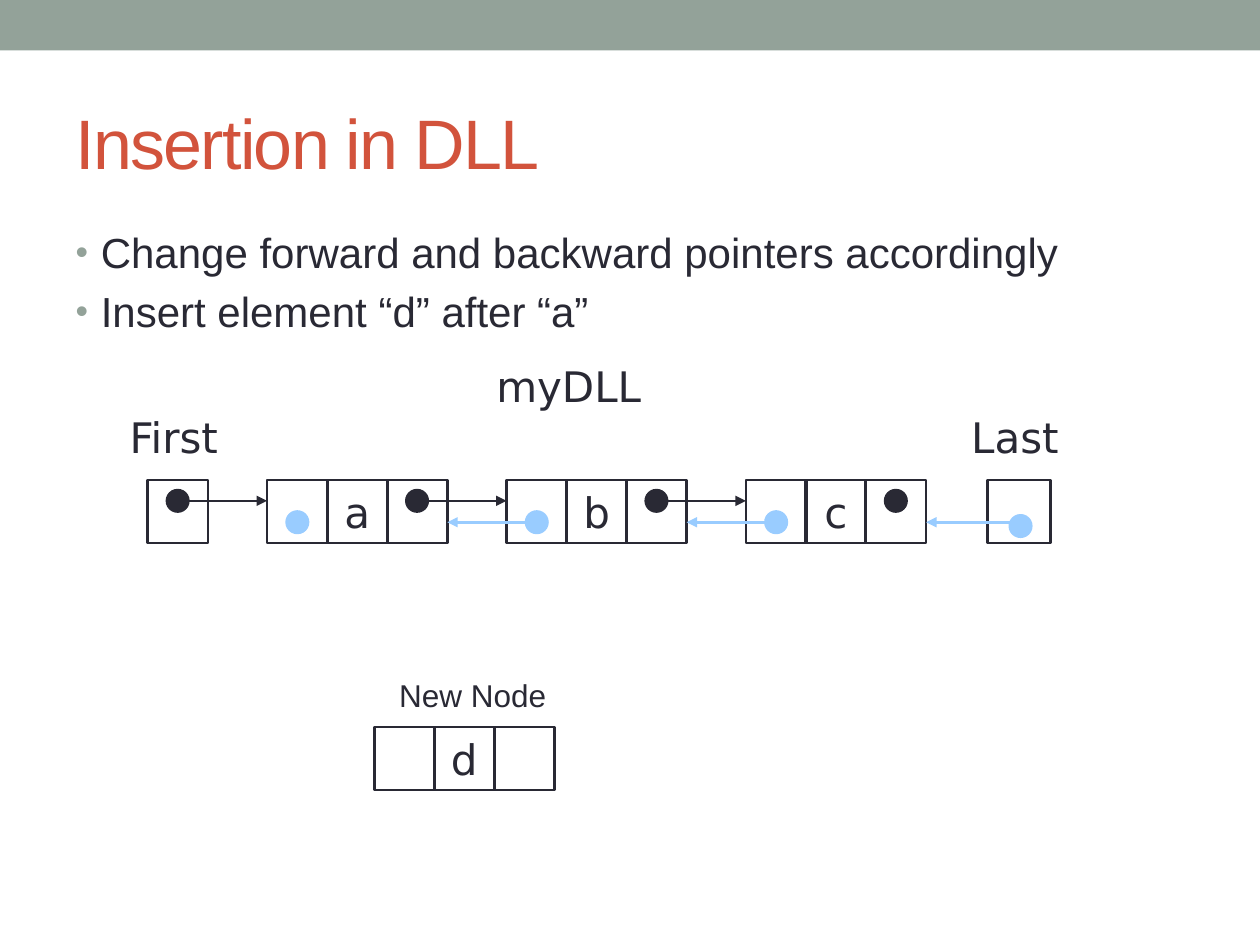
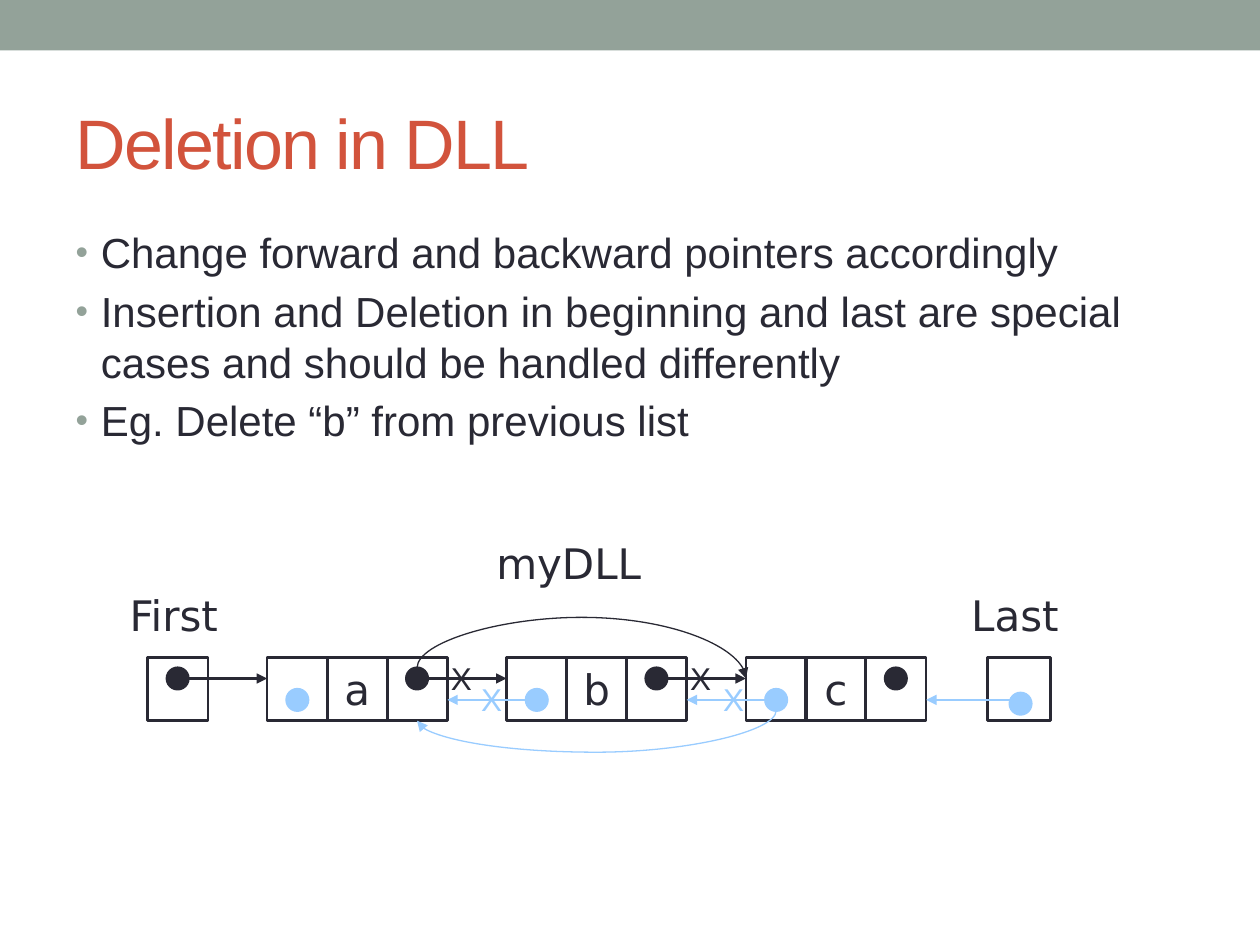
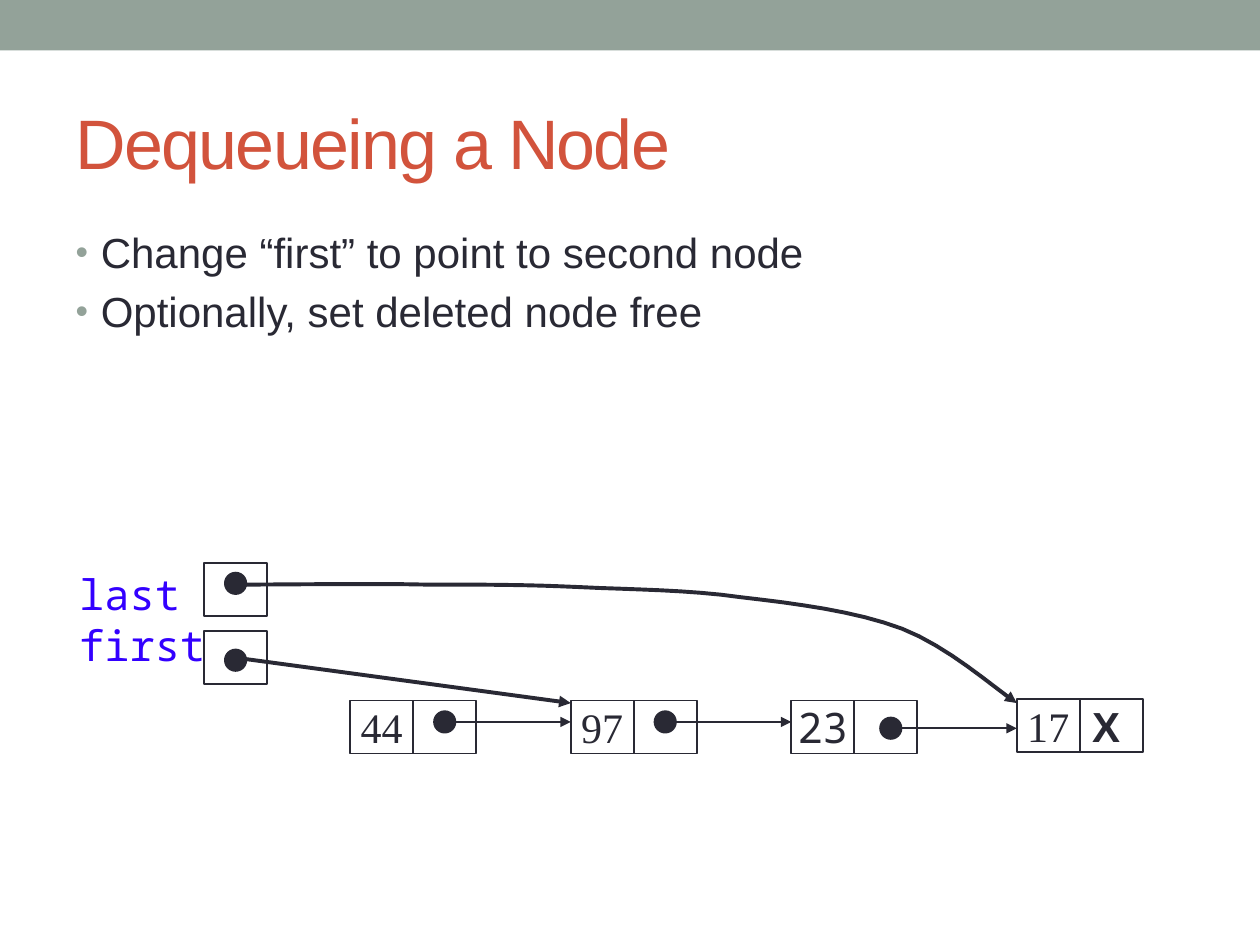
from dataclasses import dataclass

from lxml import etree
from pptx import Presentation
from pptx.dml.color import RGBColor
from pptx.enum.shapes import MSO_CONNECTOR, MSO_SHAPE
from pptx.enum.text import MSO_ANCHOR, PP_ALIGN
from pptx.oxml.ns import qn
from pptx.util import Inches, Pt

RECT, OVAL = MSO_SHAPE.RECTANGLE, MSO_SHAPE.OVAL
STRAIGHT, CURVE = MSO_CONNECTOR.STRAIGHT, MSO_CONNECTOR.CURVE
LEFT, CENTER = PP_ALIGN.LEFT, PP_ALIGN.CENTER
TOP, MIDDLE = MSO_ANCHOR.TOP, MSO_ANCHOR.MIDDLE


@dataclass(frozen=True)
class Theme:
    band: str = "93A299"
    title: str = "D2533C"
    ink: str = "292934"
    back: str = "99CCFF"
    pointer: str = "3300FF"
    sans: str = "Arial"
    label: str = "DejaVu Sans"
    mono: str = "Noto Sans Mono"
    serif: str = "Times New Roman"
    title_size: int = 40
    text_size: int = 24
    small_size: int = 18
    thin: float = 0.75
    fine: float = 1
    medium: float = 1.5
    thick: float = 2.25


T = Theme()

# Content
INSERTION = ("Insertion in DLL", [
    "Change forward and backward pointers accordingly",
    "Insert element “d” after “a”",
])
DELETION = ("Deletion in DLL", [
    "Change forward and backward pointers accordingly",
    "Insertion and Deletion in beginning and last are special cases "
    "and should be handled differently",
    "Eg. Delete “b” from previous list",
])
DEQUEUE = ("Dequeueing a Node", [
    "Change “first” to point to second node",
    "Optionally, set deleted node free",
])
LIST_NODES = ["a", "b", "c"]
# label, left, offset from the top of the chain
CHAIN_LABELS = [("myDLL", 3.84, -1.0), ("First", 0.93, -0.59), ("Last", 7.61, -0.59)]
# left, offset from the top of the chain, colour
CROSSES = [(3.48, -0.04, T.ink), (5.38, -0.04, T.ink),
           (3.72, 0.13, T.back), (5.64, 0.13, T.back)]
# left, top, value, font, pointer centre
QUEUE = [
    (2.78, 5.56, "44", T.serif, (3.53, 5.73)),
    (4.53, 5.56, "97", T.serif, (5.28, 5.73)),
    (6.28, 5.56, "23", T.mono, (7.07, 5.78)),
    (8.07, 5.55, "17", T.serif, None),
]
# top of the box, centre of the dot
QUEUE_POINTERS = [(4.47, (1.87, 4.63)), (5.01, (1.87, 5.24))]
LAST_START = (1.87, 4.64)
LAST_CURVE = [
    ((2.31, 4.64), (2.93, 4.63), (3.39, 4.64)),
    ((3.84, 4.64), (4.19, 4.64), (4.6, 4.66)),
    ((5.02, 4.68), (5.46, 4.68), (5.88, 4.74)),
    ((6.31, 4.79), (6.79, 4.85), (7.16, 4.99)),
    ((7.52, 5.13), (7.88, 5.45), (8.07, 5.58)),
]

# Chain geometry
CELL_W, CELL_H, CELL_STEP = 0.48, 0.5, 0.475
NODE_LEFT, NODE_STEP = 2.12, 1.9
NODE_W = 2 * CELL_STEP + CELL_W
NEXT_Y, PREV_Y = 0.165, 0.335
FIRST_LEFT, LAST_LEFT = 1.17, 7.84
DOT = 0.17


def rgb(colour):
    return RGBColor.from_string(colour)


def inches(*values):
    return [Inches(v) for v in values]


# Text
def add_run(p, text, size, colour, font, bold=None):
    r = p.add_run()
    r.text = text
    r.font.size, r.font.name, r.font.bold = Pt(size), font, bold
    r.font.color.rgb = rgb(colour)
    return r


def add_label(slide, text, left, top, width, height, size=T.text_size,
              colour=T.ink, font=T.label, wrap=True):
    tf = slide.shapes.add_textbox(*inches(left, top, width, height)).text_frame
    tf.word_wrap = wrap
    p = tf.paragraphs[0]
    for i, line in enumerate(text.split("\n")):
        if i:
            p.add_line_break()
        add_run(p, line, size, colour, font)
    return p


# Shapes and lines
def style_line(shape, colour, width, arrow=False):
    shape.line.color.rgb = rgb(colour)
    shape.line.width = Pt(width)
    if arrow:
        ln = shape.element.spPr.find(qn("a:ln"))
        etree.SubElement(ln, qn("a:tailEnd"), type="triangle")


def add_box(slide, left, top, width, height, line=T.medium, text="",
            font=T.label, bold=None, align=CENTER):
    s = slide.shapes.add_shape(RECT, *inches(left, top, width, height))
    s.shadow.inherit = False
    s.fill.background()
    style_line(s, T.ink, line)
    if text:
        tf = s.text_frame
        tf.word_wrap, tf.vertical_anchor = False, MIDDLE
        p = tf.paragraphs[0]
        p.alignment = align
        add_run(p, text, T.text_size, T.ink, font, bold)


def add_dot(slide, x, y, colour=T.ink, line=T.medium):
    s = slide.shapes.add_shape(OVAL, *inches(x - DOT / 2, y - DOT / 2, DOT, DOT))
    s.shadow.inherit = False
    s.fill.solid()
    s.fill.fore_color.rgb = rgb(colour)
    style_line(s, colour, line)


def add_arrow(slide, start, end, colour=T.ink, width=T.medium, kind=STRAIGHT):
    c = slide.shapes.add_connector(kind, *inches(*start, *end))
    style_line(c, colour, width, arrow=True)
    etree.SubElement(c.element.spPr, qn("a:effectLst"))
    return c


def add_arc(slide, start, end, bend_y, colour):
    """Curved arrow that leaves vertically, reaches bend_y and comes back."""
    (x0, y0), (x1, y1) = start, end
    width, height = y1 - y0, abs(x1 - x0)
    left, top = (x0 + x1 - width) / 2, (y0 + y1 - height) / 2
    c = add_arrow(slide, (left, top), (left + width, top + height), colour, T.thin, CURVE)
    xfrm = c.element.spPr.find(qn("a:xfrm"))
    rightward = x1 > x0
    xfrm.set("rot", str((270 if rightward else 90) * 60000))
    if rightward:
        xfrm.set("flipH", "1")
    bend = round((bend_y - y0) / width * 100000)
    guides = c.element.spPr.find(qn("a:prstGeom")).find(qn("a:avLst"))
    etree.SubElement(guides, qn("a:gd"), name="adj1", fmla=f"val {bend}")


def bezier_points(start, segments, steps=8):
    points = []
    for c1, c2, end in segments:
        for i in range(1, steps + 1):
            t = i / steps
            weights = ((1 - t) ** 3, 3 * t * (1 - t) ** 2, 3 * t * t * (1 - t), t ** 3)
            points.append(tuple(
                Inches(sum(w * pt[axis] for w, pt in zip(weights, (start, c1, c2, end))))
                for axis in (0, 1)))
        start = end
    return points


# Shared slide parts
def add_band(prs, slide):
    s = slide.shapes.add_shape(RECT, 0, 0, prs.slide_width, Inches(0.4))
    s.shadow.inherit = False
    s.fill.solid()
    s.fill.fore_color.rgb = rgb(T.band)
    s.line.fill.background()
    prs.slide_master.shapes.element.insert(2, s.element)


def set_bullet(p):
    pPr = p._p.get_or_add_pPr()
    pPr.set("marL", str(Inches(0.2)))
    pPr.set("indent", str(-Inches(0.2)))
    colour = etree.SubElement(pPr, qn("a:buClr"))
    etree.SubElement(colour, qn("a:srgbClr"), val=T.band)
    etree.SubElement(pPr, qn("a:buSzPct"), val="85000")
    etree.SubElement(pPr, qn("a:buFont"), typeface=T.sans)
    etree.SubElement(pPr, qn("a:buChar"), char="•")


def place(shape, left, top, width, height, anchor):
    shape.left, shape.top, shape.width, shape.height = inches(left, top, width, height)
    shape.text_frame.vertical_anchor = anchor
    return shape.text_frame


def add_slide(prs, content):
    title, bullets = content
    slide = prs.slides.add_slide(prs.slide_layouts[1])
    p = place(slide.shapes.title, 0.5, 0.58, 9, 1.08, MIDDLE).paragraphs[0]
    p.alignment = LEFT
    r = add_run(p, title, T.title_size, T.title, T.sans)
    r.font._element.set("spc", "-100")
    tf = place(slide.placeholders[1], 0.5, 1.75, 9, 5.33, TOP)
    for i, text in enumerate(bullets):
        p = tf.add_paragraph() if i else tf.paragraphs[0]
        set_bullet(p)
        add_run(p, text, T.text_size, T.ink, T.sans)
    return slide


# Doubly linked list
def node_left(i):
    return NODE_LEFT + i * NODE_STEP


def next_dot(i, top):
    return node_left(i) + 2 * CELL_STEP + CELL_W / 2, top + NEXT_Y


def prev_dot(i, top):
    return node_left(i) + CELL_W / 2, top + PREV_Y


def add_node(slide, left, top, value):
    for i, text in enumerate(("", value, "")):
        add_box(slide, left + i * CELL_STEP, top, CELL_W, CELL_H, text=text)


def add_chain(slide, top):
    for text, left, offset in CHAIN_LABELS:
        add_label(slide, text, left, top + offset, 1.35, 0.5)
    add_box(slide, FIRST_LEFT, top, CELL_W, CELL_H)
    add_box(slide, LAST_LEFT, top, 0.5, CELL_H)
    first_dot = (FIRST_LEFT + CELL_W / 2, top + NEXT_Y)
    add_dot(slide, *first_dot)
    add_dot(slide, 8.1, top + 0.365, T.back)
    forward = [first_dot]
    backward = []
    for i, value in enumerate(LIST_NODES):
        add_node(slide, node_left(i), top, value)
        add_dot(slide, *next_dot(i, top))
        add_dot(slide, *prev_dot(i, top), T.back)
        forward.append(next_dot(i, top))
        backward.append(prev_dot(i, top))
    backward.append((8.07, top + PREV_Y))
    for i in range(len(LIST_NODES)):
        add_arrow(slide, forward[i], (node_left(i), top + NEXT_Y))
        add_arrow(slide, backward[i + 1], (node_left(i) + NODE_W, top + PREV_Y), T.back)


def build_insertion(slide):
    add_chain(slide, 3.81)
    add_node(slide, 2.97, 5.77, "d")
    add_label(slide, "New Node", 3.07, 5.32, 1.38, 0.4, T.small_size,
              font=T.sans, wrap=False)


def build_deletion(slide):
    top = 5.22
    add_chain(slide, top)
    a_x, a_y = next_dot(0, top)
    c_x, c_y = prev_dot(2, top)
    add_arc(slide, (a_x, a_y - DOT / 2), (node_left(2), a_y), 4.9, T.ink)
    add_arc(slide, (c_x, c_y + DOT / 2), (a_x, top + CELL_H), 5.97, T.back)
    for left, offset, colour in CROSSES:
        add_label(slide, "X", left, top + offset, 0.37, 0.4, T.small_size,
                  colour, T.sans, wrap=False)


# Queue
def build_dequeue(slide):
    width, height = 0.5, 0.42
    p = add_label(slide, "last\nfirst", 0.53, 4.46, 1.33, 0.91,
                  colour=T.pointer, font=T.mono)
    p.line_spacing = Pt(29)
    for top, dot in QUEUE_POINTERS:
        add_box(slide, 1.62, top, width, height, T.fine)
        add_dot(slide, *dot, line=T.fine)
    for i, (left, top, value, font, dot) in enumerate(QUEUE):
        add_box(slide, left, top, width, height, T.fine, value, font)
        if dot:
            add_box(slide, left + width, top, width, height, T.fine)
            add_dot(slide, *dot, line=T.fine)
            add_arrow(slide, dot, (QUEUE[i + 1][0], dot[1]), width=T.fine)
        else:
            add_box(slide, left + width, top, width, height, T.fine, "X",
                    T.sans, bold=True, align=LEFT)
    add_arrow(slide, (1.87, 5.22), (4.53, 5.58), width=T.thick)

    outline = slide.shapes.build_freeform(*inches(*LAST_START))
    outline.add_line_segments(bezier_points(LAST_START, LAST_CURVE), close=False)
    s = outline.convert_to_shape()
    s.shadow.inherit = False
    s.fill.background()
    style_line(s, T.ink, T.thick, arrow=True)


def main():
    prs = Presentation()
    prs.slide_width, prs.slide_height = inches(10, 7.5)
    pages = [(INSERTION, build_insertion), (DELETION, build_deletion),
             (DEQUEUE, build_dequeue)]
    for content, build in pages:
        build(add_slide(prs, content))
    add_band(prs, prs.slides[0])
    prs.save("out.pptx")


if __name__ == "__main__":
    main()
